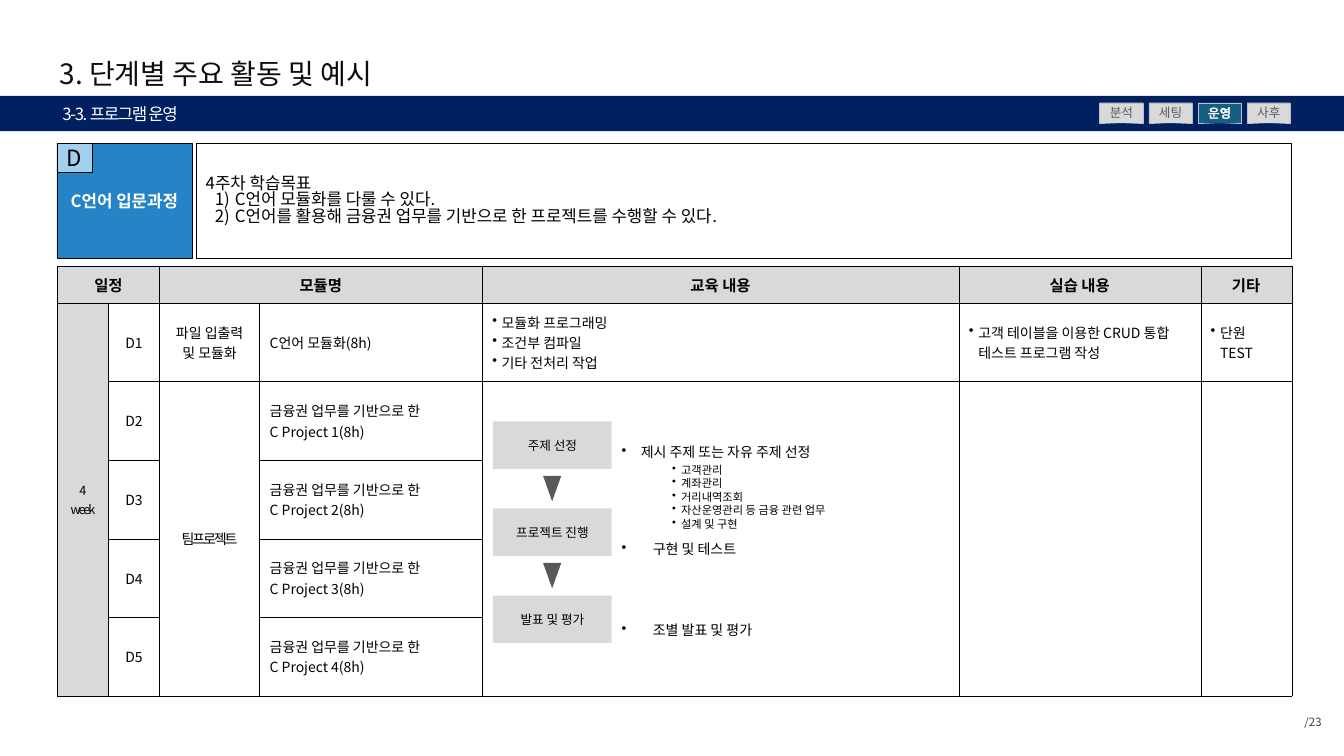
"""Builds the fourth-week plan slide of an introductory C course."""
from lxml.etree import SubElement
from pptx import Presentation
from pptx.dml.color import RGBColor as Rgb
from pptx.enum.shapes import MSO_SHAPE as Shape
from pptx.enum.text import MSO_ANCHOR as Anchor, PP_ALIGN as Align
from pptx.oxml.ns import qn
from pptx.util import Pt

FONT = "Noto Sans CJK KR"
COLORS = {
    "black": "000000", "white": "FFFFFF", "title": "0D0D0D", "number": "404040",
    "navy": "002060", "grey": "D9D9D9", "edge": "BFBFBF", "dim": "595959",
    "active": "156082", "course": "2484C6", "badge": "A2CFEE",
}
BULLET = ("buChar", {"char": "•"})
NUMBER = ("buAutoNum", {"type": "arabicParenR"})


class SlideBuilder:
    """Holds the style and the slide being drawn."""

    def __init__(self, deck):
        self.slide = deck.slides.add_slide(deck.slide_layouts[6])

    def color(self, name):
        return Rgb.from_string(COLORS[name])

    def mark(self, para, kind, left, hang):
        """Gives a paragraph a bullet or number with a hanging indent."""
        props = para._p.get_or_add_pPr()
        props.set("marL", str(Pt(left)))
        props.set("indent", str(Pt(-hang)))
        tag, attributes = kind
        SubElement(props, qn("a:" + tag), attributes)

    def style(self, para, size, color="black", bold=False, align=Align.LEFT, tracking=0):
        """Formats a paragraph and its runs."""
        para.alignment = align
        for span in para.runs:
            span.font.size = Pt(size)
            span.font.bold = bold
            span.font.color.rgb = self.color(color)
            span.font.name = FONT
            props = span._r.get_or_add_rPr()
            SubElement(props, qn("a:ea"), typeface=FONT)
            if tracking:
                props.set("spc", str(int(tracking * 100)))

    def fill_text(self, frame, text, size, margins=(7.2, 3.6, 7.2, 3.6), wrap=True,
                  anchor=Anchor.MIDDLE, **look):
        """Writes and formats all paragraphs of a text frame."""
        frame.text = text
        frame.word_wrap = wrap
        frame.vertical_anchor = anchor
        (frame.margin_left, frame.margin_top,
         frame.margin_right, frame.margin_bottom) = map(Pt, margins)
        for para in frame.paragraphs:
            self.style(para, size, **look)
        return frame

    def text(self, place, text, size, **look):
        """Adds a text box."""
        box = self.slide.shapes.add_textbox(*map(Pt, place))
        return self.fill_text(box.text_frame, text, size, **look)

    def shape(self, place, fill, text="", size=9, line=None, kind=Shape.RECTANGLE, **look):
        """Adds a filled preset shape with text."""
        box = self.slide.shapes.add_shape(kind, *map(Pt, place))
        box.shadow.inherit = False
        box.fill.solid()
        box.fill.fore_color.rgb = self.color(fill)
        if line:
            box.line.color.rgb = self.color(line)
            box.line.width = Pt(0.25)
        else:
            box.line.fill.background()
        return self.fill_text(box.text_frame, text, size, **look)

    def add_line(self, props, tag, color):
        """Adds a thin solid line element to text or cell properties."""
        line = SubElement(props, qn("a:" + tag), w=str(Pt(0.25)))
        fill = SubElement(line, qn("a:solidFill"))
        SubElement(fill, qn("a:srgbClr"), val=COLORS[color])
        return line

    def outline(self, span, color):
        """Outlines the letters of a run."""
        props = span._r.get_or_add_rPr()
        props.insert(0, self.add_line(props, "ln", color))

    def table(self, left, top, widths, heights):
        """Adds a white table with thin black borders."""
        frame = self.slide.shapes.add_table(
            len(heights), len(widths), Pt(left), Pt(top), Pt(sum(widths)), Pt(sum(heights)))
        table = frame.table
        for column, width in zip(table.columns, widths):
            column.width = Pt(width)
        for row, height in zip(table.rows, heights):
            row.height = Pt(height)
        for cell in table.iter_cells():
            props = cell._tc.get_or_add_tcPr()
            for side in ("lnL", "lnR", "lnT", "lnB"):
                self.add_line(props, side, "black")
            self.paint(cell, "white")
        return table

    def paint(self, cell, color):
        cell.fill.solid()
        cell.fill.fore_color.rgb = self.color(color)

    def cell(self, cell, text, size=10, bullets=False, **look):
        """Writes a table cell."""
        cell.text = text
        cell.vertical_anchor = Anchor.MIDDLE
        for para in cell.text_frame.paragraphs:
            if bullets:
                self.mark(para, BULLET, 6.7, 6.7)
            self.style(para, size, **look)


def draw_header(page):
    page.text((915.8, 506.9, 35.3, 18), "/23", 8.1, color="number", align=Align.RIGHT)
    page.text((39.6, 35.3, 721.4, 33.8), "3. 단계별 주요 활동 및 예시", 20,
              color="title", margins=(2.9, 2.9, 2.9, 2.9))
    page.shape((0, 68.4, 960, 25.2), "navy", "3-3. 프로그램 운영", 12, color="white",
               tracking=-1, margins=(44.6, 3.6, 7.2, 3.6))
    for index, stage in enumerate(("분석", "세팅", "운영", "사후")):
        active = stage == "운영"
        frame = page.shape((785.5 + 35.1 * index, 73.4, 31, 14.4),
                           "active" if active else "grey", stage, line="edge", wrap=False,
                           color="white" if active else "dim", align=Align.CENTER)
        if active:
            page.outline(frame.paragraphs[0].runs[0], "white")


def draw_goals(page):
    page.shape((40.6, 102.3, 96.5, 82.1), "course", "C언어 입문과정", 12, line="black",
               color="white", bold=True, align=Align.CENTER)
    page.shape((40.6, 102.3, 25.2, 20.9), "badge", "D", 16, line="black", align=Align.CENTER)
    goals = page.shape(
        (139.9, 102.3, 782.6, 82.1), "white",
        "4주차 학습목표\nC언어 모듈화를 다룰 수 있다.\n"
        "C언어를 활용해 금융권 업무를 기반으로 한 프로젝트를 수행할 수 있다.", 12, line="black")
    for para in goals.paragraphs:
        para.line_spacing = 0.82
    for para in goals.paragraphs[1:]:
        page.mark(para, NUMBER, 20.9, 14.4)


def draw_schedule(page):
    table = page.table(41, 190.1, (36.5, 36.5, 71.5, 159, 340.5, 172.7, 65),
                       (26.4,) + (56.1,) * 5)
    for first, last in (((0, 0), (0, 1)), ((0, 2), (0, 3)), ((1, 0), (5, 0)), ((2, 2), (5, 2)),
                        ((2, 4), (5, 4)), ((2, 5), (5, 5)), ((2, 6), (5, 6))):
        table.cell(*first).merge(table.cell(*last))
    headings = {0: "일정", 2: "모듈명", 4: "교육 내용", 5: "실습 내용", 6: "기타"}
    for column in range(7):
        page.paint(table.cell(0, column), "grey")
        if column in headings:
            page.cell(table.cell(0, column), headings[column], 11, bold=True, align=Align.CENTER)
    for row in range(1, 6):
        page.paint(table.cell(row, 0), "grey")
        page.cell(table.cell(row, 1), f"D{row}", align=Align.CENTER)
        module = f"금융권 업무를 기반으로 한\nC Project {row - 1}(8h)" if row > 1 else "C언어 모듈화(8h)"
        page.cell(table.cell(row, 3), module)
    page.cell(table.cell(1, 0), "4\nweek", 9, tracking=-1.5, align=Align.CENTER)
    page.cell(table.cell(1, 2), "파일 입출력 및 모듈화", align=Align.CENTER)
    page.cell(table.cell(2, 2), "팀프로젝트", tracking=-1.5, align=Align.CENTER)
    for column, text in ((4, "모듈화 프로그래밍\n조건부 컴파일\n기타 전처리 작업"),
                         (5, "고객 테이블을 이용한 CRUD 통합 테스트 프로그램 작성"),
                         (6, "단원 TEST")):
        page.cell(table.cell(1, column), text, bullets=True)


def draw_project(page):
    for index, step in enumerate(("주제 선정", "프로젝트 진행", "발표 및 평가")):
        top = 301 + 62.2 * index
        page.shape((352.1, top, 84.9, 33.9), "grey", step, align=Align.CENTER)
        if index < 2:
            page.shape((387.9, top + 38.9, 13, 18.2), "dim", kind=Shape.FLOWCHART_MERGE)
    topics = ("고객관리", "계좌관리", "거리내역조회", "자산운영관리 등 금융 관련 업무", "설계 및 구현")
    notes = [("제시 주제 또는 자유 주제 선정", 10, 13.7, 13.7, 0)]
    notes += [(topic, 8, 42.5, 6.5, 0 if index else 1.9) for index, topic in enumerate(topics)]
    notes += [("구현 및 테스트", 10, 22.3, 22.3, 9.6), ("조별 발표 및 평가", 10, 22.3, 22.3, 48.3)]
    frame = page.text((437, 301, 228.2, 151.2), "\n".join(note[0] for note in notes), 10,
                      anchor=Anchor.TOP, margins=(7.2, 18.2, 7.2, 0))
    for para, (_, size, left, hang, before) in zip(frame.paragraphs, notes):
        page.mark(para, BULLET, left, hang)
        para.line_spacing = Pt(9.6)
        if before:
            para.space_before = Pt(before)
        para.runs[0].font.size = Pt(size)


def main():
    deck = Presentation()
    deck.slide_width, deck.slide_height = Pt(960), Pt(540)
    page = SlideBuilder(deck)
    draw_header(page)
    draw_goals(page)
    draw_schedule(page)
    draw_project(page)
    deck.save("out.pptx")


if __name__ == "__main__":
    main()
